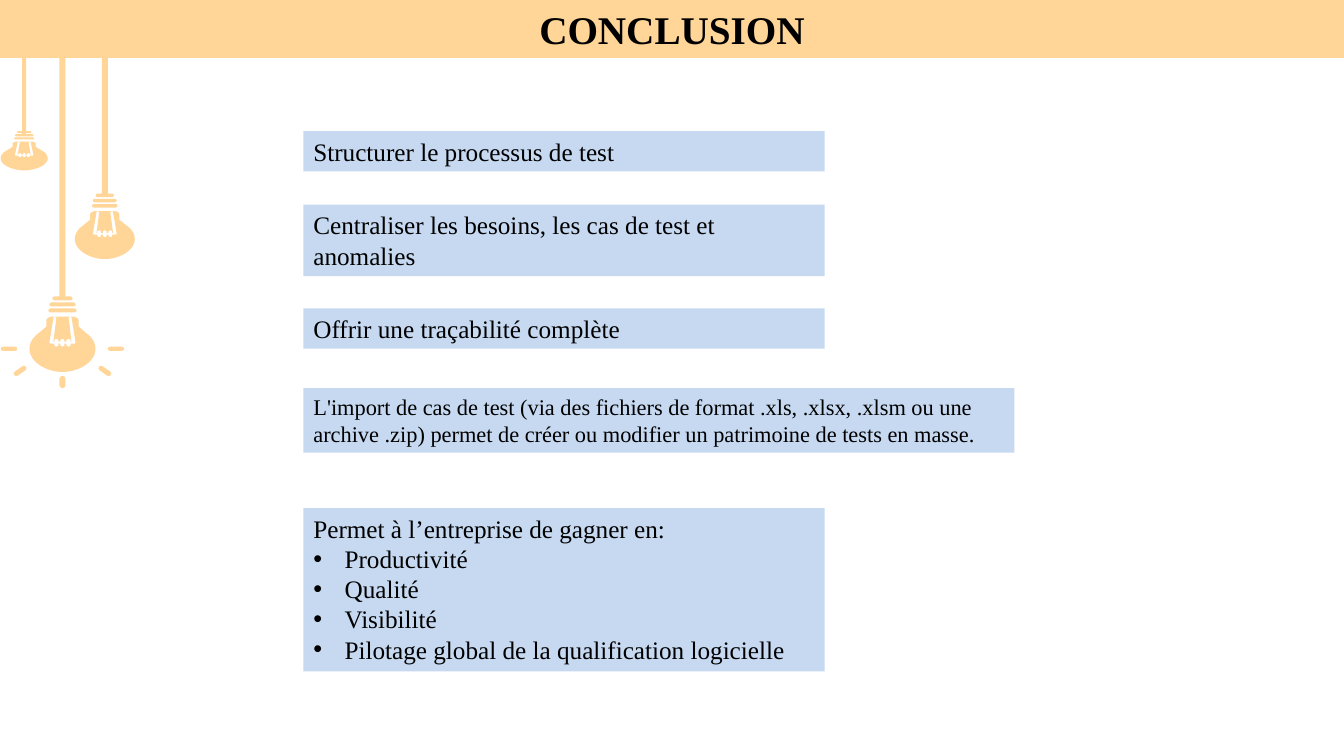
from lxml import etree
from pptx import Presentation
from pptx.dml.color import RGBColor
from pptx.enum.shapes import MSO_SHAPE
from pptx.enum.text import MSO_ANCHOR, MSO_AUTO_SIZE, PP_ALIGN
from pptx.oxml.ns import qn
from pptx.util import Inches, Pt

RECT, ROUND = MSO_SHAPE.RECTANGLE, MSO_SHAPE.ROUNDED_RECTANGLE
LEFT, CENTER = PP_ALIGN.LEFT, PP_ALIGN.CENTER
TOP, MIDDLE = MSO_ANCHOR.TOP, MSO_ANCHOR.MIDDLE
FONT = "Times New Roman"
GOLD, BLUE, BLACK = "FFD598", "C6D9F1", "000000"

# Content: top, width, height, text size, lines (all but the first are bullets)
TITLE = "CONCLUSION"
BOX_X = 3.01
BOXES = [
    (1.3, 5.17, 0.4, 18, ["Structurer le processus de test"]),
    (2.03, 5.17, 0.71, 18,
     ["Centraliser les besoins, les cas de test et anomalies"]),
    (3.06, 5.17, 0.4, 18, ["Offrir une traçabilité complète"]),
    (3.85, 7.05, 0.64, 16,
     ["L'import de cas de test (via des fichiers de format .xls, .xlsx, "
      ".xlsm ou une archive .zip) permet de créer ou modifier un "
      "patrimoine de tests en masse."]),
    (5.04, 5.17, 1.62, 18,
     ["Permet à l’entreprise de gagner en:", "Productivité", "Qualité",
      "Visibilité", "Pilotage global de la qualification logicielle"]),
]

# Lamps: centre x, bulb top, bulb width, bulb height, cord width
LAMPS = [(1.04, 1.92, 0.6, 0.65, 0.06),
         (0.62, 2.94, 0.66, 0.75, 0.06),
         (0.24, 1.3, 0.47, 0.39, 0.04)]
# Light rays: centre x, centre y, width, height, rotation
RAYS = [(0.09, 3.46, 0.16, 0.04, 0), (1.15, 3.46, 0.16, 0.04, 0),
        (0.2, 3.68, 0.14, 0.05, -35), (1.04, 3.68, 0.14, 0.05, 35),
        (0.62, 3.79, 0.06, 0.12, 0)]

# Right half of a bulb on a grid 66 wide and 75 high, centred on x = 0
GRID_W, GRID_H = 66, 75
CAPS = [(10, 0), (13, 6), (14, 12)]  # half width, top
WIRE_OUT = [(8, 20), (9, 21), (13, 46), (12, 47), (8, 47), (8, 49), (6, 50),
            (4, 49), (4, 47), (2, 47), (2, 49), (0, 50)]
WIRE_IN = [(6, 21), (9, 45), (8, 45), (8, 43), (6, 42), (4, 43), (4, 45),
           (2, 45), (2, 43), (0, 42)]


def curve(a, b, c, d, n=12):
    pts = []
    for i in range(1, n + 1):
        t = i / n
        w = ((1 - t) ** 3, 3 * t * (1 - t) ** 2, 3 * t * t * (1 - t), t ** 3)
        pts.append(tuple(sum(k * p[j] for k, p in zip(w, (a, b, c, d)))
                         for j in (0, 1)))
    return pts


def flip(pts):
    return [(-x, y) for x, y in pts]


def close(half):
    return half + flip(half[::-1])


def cap(w, y):
    return close([(w - 2, y), (w - 0.6, y + 0.6), (w, y + 2),
                  (w - 0.6, y + 3.4), (w - 2, y + 4)])


GLASS = ([(0, 20), (9, 20)] + curve((9, 20), (13, 20), (16, 22), (16, 24))
         + [(16, 30), (23, 36)]
         + curve((23, 36), (36, 45), (36, 59), (23, 68))
         + curve((23, 68), (17, 72), (9, 75), (0, 75)))
WIRE = close(WIRE_OUT) + flip(WIRE_IN) + WIRE_IN[::-1]
BULB = [cap(*c) for c in CAPS] + [close(GLASS), WIRE]


def rgb(code):
    return RGBColor.from_string(code)


def paint(shape, color):
    shape.shadow.inherit = False
    shape.fill.solid()
    shape.fill.fore_color.rgb = rgb(color)
    shape.line.fill.background()
    return shape


def block(x, y, w, h, color, kind=RECT):
    return paint(slide.shapes.add_shape(
        kind, Inches(x), Inches(y), Inches(w), Inches(h)), color)


def write(shape, lines, size=18, bold=False, align=LEFT, anchor=TOP):
    frame = shape.text_frame
    frame.word_wrap = True
    frame.auto_size = MSO_AUTO_SIZE.SHAPE_TO_FIT_TEXT
    frame.vertical_anchor = anchor
    for i, line in enumerate(lines):
        para = frame.add_paragraph() if i else frame.paragraphs[0]
        para.alignment = align
        run = para.add_run()
        run.text = line
        font = run.font
        font.name, font.size, font.bold = FONT, Pt(size), bold
        font.color.rgb = rgb(BLACK)
        if i:
            props = para._p.get_or_add_pPr()
            props.set("marL", str(Inches(0.31)))
            props.set("indent", str(-Inches(0.31)))
            etree.SubElement(props, qn("a:buFont")).set("typeface", "Arial")
            etree.SubElement(props, qn("a:buChar")).set("char", "•")


def bulb(cx, top, w, h):
    rings = [[(Inches(cx + x * w / GRID_W), Inches(top + y * h / GRID_H))
              for x, y in ring] for ring in BULB]
    pen = slide.shapes.build_freeform(*rings[0][0], scale=1.0)
    for i, ring in enumerate(rings):
        if i:
            pen.move_to(*ring[0])
        pen.add_line_segments(ring[1:], close=True)
    paint(pen.convert_to_shape(), GOLD)


deck = Presentation()
deck.slide_width, deck.slide_height = Inches(13.33), Inches(7.5)
slide = deck.slides.add_slide(deck.slide_layouts[6])

# Title band
band = block(0, 0, 13.33, 0.57, GOLD)
band.line.color.rgb = rgb(GOLD)
band.line.width = Pt(0.75)
write(band, [TITLE], size=28, bold=True, align=CENTER, anchor=MIDDLE)

# Hanging lamps
for cx, top, w, h, cord in LAMPS:
    block(cx - cord / 2, 0.57, cord, top + 0.03 - 0.57, GOLD)
    bulb(cx, top, w, h)
for cx, cy, w, h, turn in RAYS:
    ray = block(cx - w / 2, cy - h / 2, w, h, GOLD, ROUND)
    ray.adjustments[0] = 0.5
    ray.rotation = turn

# Text boxes
for y, w, h, size, lines in BOXES:
    write(block(BOX_X, y, w, h, BLUE), lines, size=size)

deck.save("out.pptx")
